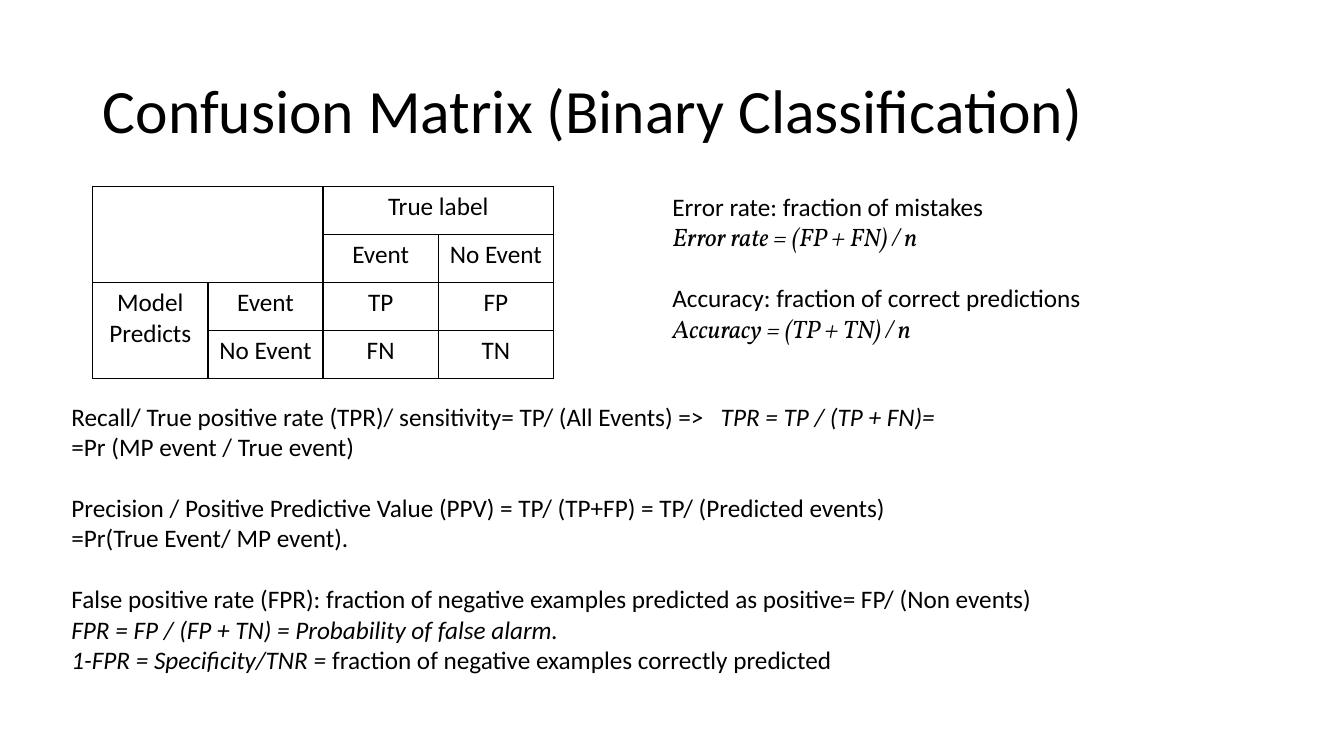
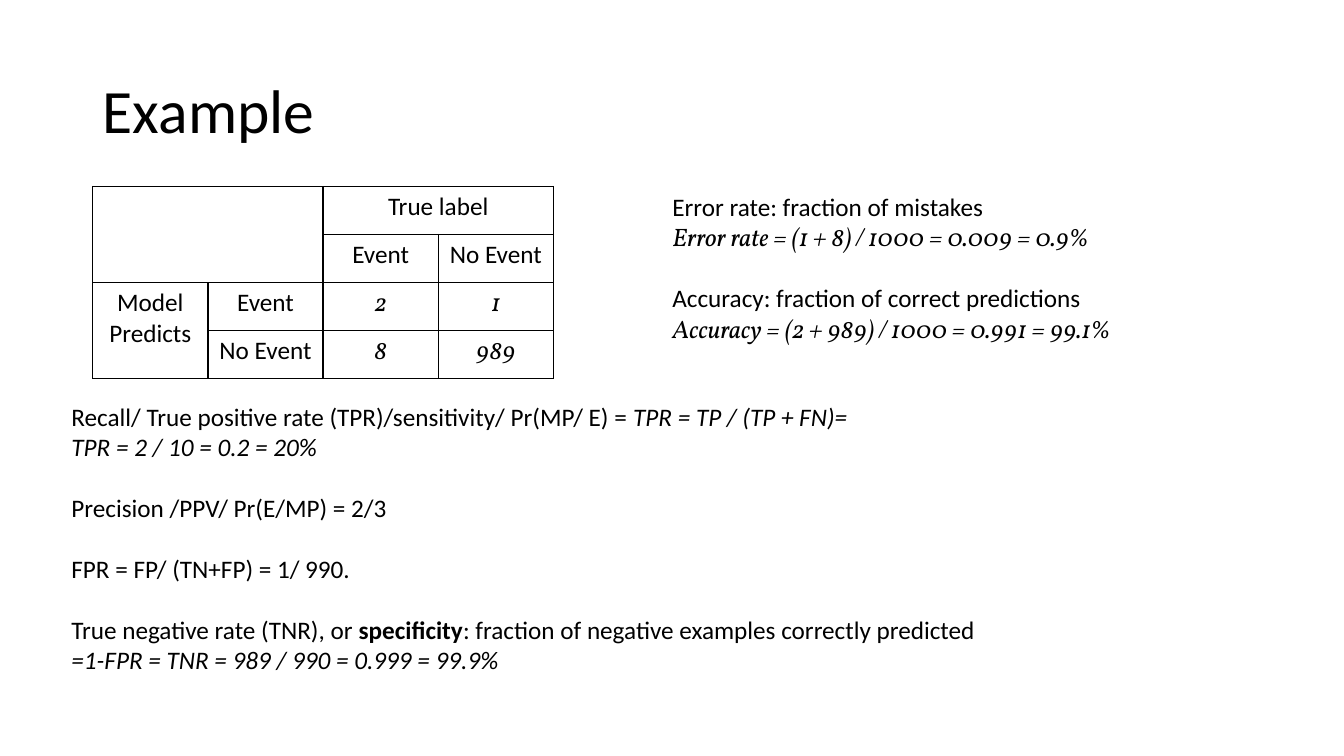
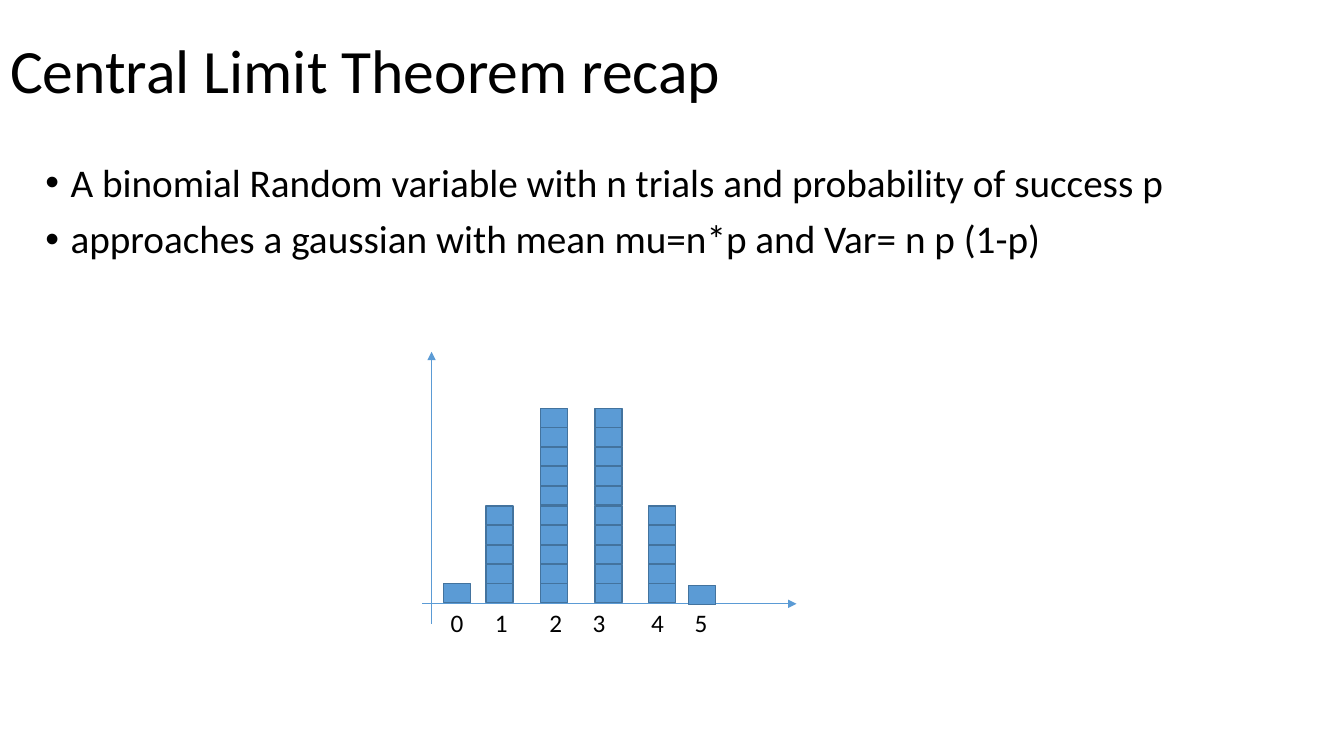
from dataclasses import dataclass

from lxml import etree
from pptx import Presentation
from pptx.dml.color import RGBColor
from pptx.enum.shapes import MSO_CONNECTOR, MSO_SHAPE
from pptx.enum.text import MSO_ANCHOR, MSO_AUTO_SIZE, PP_ALIGN
from pptx.oxml.ns import qn
from pptx.util import Inches, Pt

LEFT, CENTER = PP_ALIGN.LEFT, PP_ALIGN.CENTER
MIDDLE = MSO_ANCHOR.MIDDLE
GROW, FIXED = MSO_AUTO_SIZE.SHAPE_TO_FIT_TEXT, MSO_AUTO_SIZE.NONE
STRAIGHT, RECTANGLE = MSO_CONNECTOR.STRAIGHT, MSO_SHAPE.RECTANGLE
BULLETED, TITLE_ONLY = 1, 5


@dataclass(frozen=True)
class Theme:
    text: RGBColor = RGBColor(0x00, 0x00, 0x00)
    bar: RGBColor = RGBColor(0x5B, 0x9B, 0xD5)
    bar_edge: RGBColor = RGBColor(0x43, 0x73, 0x9E)
    font: str = "Calibri"
    formula_font: str = "Vollkorn"
    title_size: int = 44
    bullet_size: int = 28
    body_size: int = 18
    block_gap: int = 22
    bullet_gap: int = 10
    line_spacing: float = 0.9
    axis_width: float = 0.5
    edge_width: float = 1


THEME = Theme()
PLAIN = {}
ITALIC = {"italic": True}
BOLD = {"bold": True}
FORMULA = {"italic": True, "name": THEME.formula_font}


def add_xml(parent, tag, **attributes):
    return etree.SubElement(parent, qn(tag), attributes)


class Slides:
    def __init__(self, theme):
        self.theme = theme
        self.deck = Presentation()
        self.deck.slide_width = Inches(13.33)
        self.deck.slide_height = Inches(7.5)
        self.page = None

    def place(self, shape, left, top, width, height):
        shape.left, shape.top = Inches(left), Inches(top)
        shape.width, shape.height = Inches(width), Inches(height)

    def add_spans(self, para, spans, size, align=LEFT):
        """Fill a paragraph from (text, format) spans; a newline breaks the line."""
        para.alignment = align
        for text, style in spans:
            for index, line in enumerate(text.split("\n")):
                if index:
                    para.add_line_break()
                span = para.add_run()
                span.text = line
                span.font.color.rgb = self.theme.text
                values = {"name": self.theme.font, "size": Pt(size), **style}
                for key, value in values.items():
                    setattr(span.font, key, value)

    def add_page(self, title, left=0.92, top=0.4, layout=TITLE_ONLY):
        self.page = self.deck.slides.add_slide(self.deck.slide_layouts[layout])
        box = self.page.shapes.title
        self.place(box, left, top, 11.5, 1.45)
        frame = box.text_frame
        frame.auto_size, frame.vertical_anchor = FIXED, MIDDLE
        self.add_spans(frame.paragraphs[0], [(title, PLAIN)], self.theme.title_size)
        frame.paragraphs[0].line_spacing = self.theme.line_spacing

    def add_bullets(self, lines, left, top, width, height):
        box = self.page.placeholders[1]
        self.place(box, left, top, width, height)
        frame = box.text_frame
        frame.auto_size = FIXED
        for index, line in enumerate(lines):
            para = frame.add_paragraph() if index else frame.paragraphs[0]
            self.add_spans(para, [(line, PLAIN)], self.theme.bullet_size)
            para.line_spacing = self.theme.line_spacing
            para.space_before = Pt(self.theme.bullet_gap)
            properties = para._p.get_or_add_pPr()
            properties.set("marL", str(Inches(0.25)))
            properties.set("indent", str(Inches(-0.25)))
            add_xml(properties, "a:buFont", typeface="Arial")
            add_xml(properties, "a:buChar", char="•")

    def add_text(self, blocks, left, top, width, height, tab=None):
        """Set blocks of paragraphs, with one line of space between blocks."""
        box = self.page.shapes.add_textbox(
            Inches(left), Inches(top), Inches(width), Inches(height))
        frame = box.text_frame
        frame.word_wrap, frame.auto_size = True, GROW
        para = frame.paragraphs[0]
        for number, block in enumerate(blocks):
            for index, spans in enumerate(block):
                if number or index:
                    para = frame.add_paragraph()
                if number and not index:
                    para.space_before = Pt(self.theme.block_gap)
                self.add_spans(para, spans, self.theme.body_size)
        if tab:
            stops = add_xml(frame.paragraphs[0]._p.get_or_add_pPr(), "a:tabLst")
            add_xml(stops, "a:tab", pos=str(Inches(tab)), algn="l")

    def format_cell(self, cell):
        properties = cell._tc.get_or_add_tcPr()
        for side in ("a:lnL", "a:lnR", "a:lnT", "a:lnB"):
            border = add_xml(properties, side, w=str(Pt(self.theme.edge_width)))
            fill = add_xml(border, "a:solidFill")
            add_xml(fill, "a:srgbClr", val=str(self.theme.text))
        cell.fill.background()

    def add_confusion_matrix(self, counts, style):
        """Draw the 2 by 2 counts under their merged headings."""
        table = self.page.shapes.add_table(
            4, 4, Inches(0.92), Inches(1.85), Inches(4.57), Inches(1.91)).table
        table.first_row = table.horz_banding = False
        for cell in table.iter_cells():
            self.format_cell(cell)
        for first, last in (((0, 0), (1, 1)), ((0, 2), (0, 3)), ((2, 0), (3, 0))):
            table.cell(*first).merge(table.cell(*last))
        texts = {(0, 2): ("True label", PLAIN), (2, 0): ("Model Predicts", PLAIN)}
        for index, label in enumerate(("Event", "No Event"), start=2):
            texts[1, index] = texts[index, 1] = (label, PLAIN)
        for row, values in enumerate(counts, start=2):
            for column, value in enumerate(values, start=2):
                texts[row, column] = (value, style)
        for position, text in texts.items():
            para = table.cell(*position).text_frame.paragraphs[0]
            self.add_spans(para, [text], self.theme.body_size, CENTER)

    def add_rates(self, error, accuracy, width):
        rates = (("Error rate", "mistakes", error),
                 ("Accuracy", "correct predictions", accuracy))
        blocks = [[[(f"{name}: fraction of {what}", PLAIN)],
                   [(f"{name} = {formula}", FORMULA)]]
                  for name, what, formula in rates]
        self.add_text(blocks, 6.57, 1.85, width, 1.62)

    def add_arrow(self, start, end):
        arrow = self.page.shapes.add_connector(
            STRAIGHT, *(Inches(value) for value in (*start, *end)))
        arrow.line.color.rgb = self.theme.bar
        arrow.line.width = Pt(self.theme.axis_width)
        properties = arrow._element.spPr
        add_xml(properties.find(qn("a:ln")), "a:tailEnd", type="triangle")
        add_xml(properties, "a:effectLst")

    def add_brick(self, left, top):
        brick = self.page.shapes.add_shape(
            RECTANGLE, Inches(left), Inches(top), Inches(0.27), Inches(0.19))
        brick.shadow.inherit = False
        brick.fill.solid()
        brick.fill.fore_color.rgb = self.theme.bar
        brick.line.color.rgb = self.theme.bar_edge
        brick.line.width = Pt(self.theme.edge_width)

    def add_histogram(self, columns):
        """Stack bricks in fives from (left, base, count, label left) columns."""
        self.add_arrow((4.28, 6.19), (4.28, 3.49))
        self.add_arrow((4.19, 5.99), (7.9, 5.99))
        brick_step, five_step = 0.77 / 4, 0.97
        for left, base, count, _ in columns:
            for index in range(count):
                fives, rest = divmod(index, 5)
                self.add_brick(left, base - fives * five_step - rest * brick_step)
        for value, (*_, label_left) in enumerate(columns):
            self.add_text([[[(str(value), PLAIN)]]], label_left, 5.98, 0.42, 0.4)


def main():
    slides = Slides(THEME)

    slides.add_page("Confusion Matrix (Binary Classification)")
    slides.add_confusion_matrix((("TP", "FP"), ("FN", "TN")), PLAIN)
    slides.add_text([
        [[("Recall/ True positive rate (TPR)/ sensitivity= TP/ (All Events) =>\t", PLAIN),
          ("TPR = TP / (TP + FN)=\n", ITALIC),
          ("=Pr (MP event / True event)", PLAIN)]],
        [[("Precision / Positive Predictive Value (PPV) = TP/ (TP+FP) = "
           "TP/ (Predicted events)\n=Pr(True Event/ MP event).", PLAIN)]],
        [[("False positive rate (FPR): fraction of negative examples "
           "predicted as positive= FP/ (Non events)", PLAIN)],
         [("FPR = FP / (FP + TN) = Probability of false alarm.", ITALIC)],
         [("1-FPR = Specificity/TNR = ", ITALIC),
          ("fraction of negative examples correctly predicted", PLAIN)]],
    ], 0.61, 3.93, 12.11, 3.13, tab=6.44)
    slides.add_rates("(FP + FN) / n", "(TP + TN) / n", 4.58)

    slides.add_page("Example")
    slides.add_confusion_matrix((("2", "1"), ("8", "989")), FORMULA)
    slides.add_text([
        [[("Recall/ True positive rate (TPR)/sensitivity/ Pr(MP/ E) = ", PLAIN),
          ("TPR = TP / (TP + FN)=", ITALIC)],
         [("TPR = 2 / 10 = 0.2 = 20%", ITALIC)]],
        [[("Precision /PPV/ Pr(E/MP) = 2/3", PLAIN)]],
        [[("FPR = FP/ (TN+FP) = 1/ 990.", PLAIN)]],
        [[("True negative rate (TNR), or ", PLAIN),
          ("specificity", BOLD),
          (": fraction of negative examples correctly predicted", PLAIN)],
         [("=1-FPR = TNR = 989 / 990 = 0.999 = 99.9%", ITALIC)]],
    ], 0.61, 3.93, 10.39, 3.43)
    slides.add_rates("(1 + 8) / 1000 = 0.009 = 0.9%",
                     "(2 + 989) / 1000 = 0.991 = 99.1%", 4.93)

    slides.add_page("Central Limit Theorem recap", 0, 0, BULLETED)
    slides.add_bullets((
        "A binomial Random variable with n trials and probability of success p",
        "approaches a gaussian with mean mu=n*p and Var= n p (1-p)",
    ), 0.35, 1.57, 11.63, 2.77)
    slides.add_histogram((
        (4.4, 5.79, 1, 4.37), (4.82, 5.79, 5, 4.81), (5.36, 5.79, 10, 5.35),
        (5.9, 5.79, 10, 5.78), (6.43, 5.79, 5, 6.36), (6.83, 5.81, 1, 6.79),
    ))

    slides.deck.save("out.pptx")


if __name__ == "__main__":
    main()
